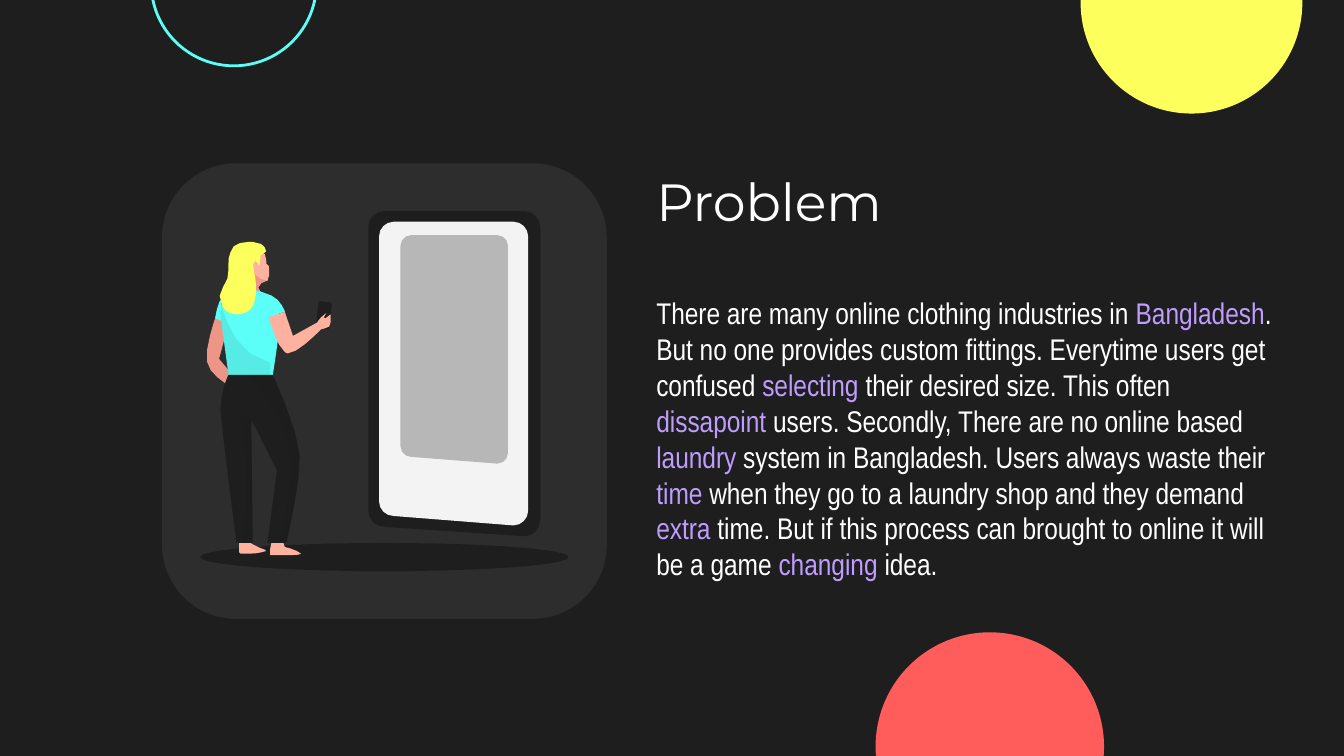
from math import dist
from typing import NamedTuple

from lxml import etree
from pptx import Presentation
from pptx import util as u
from pptx.dml.color import RGBColor
from pptx.enum import shapes, text
from pptx.oxml.ns import qn

# The slide is a grid of square cells, 1000 columns by 562.5 rows.
SLIDE_WIDTH = u.Inches(10)
CELL = SLIDE_WIDTH / 1000
ROWS = 562.5
MOST_CURVE_STEPS, CELLS_PER_STEP = 4, 5

INK, CARD, WHITE = "1E1E1E", "2D2D2D", "FFFFFF"
YELLOW, CYAN, RED, PURPLE = "FDFF5C", "5CFFF8", "FF5C5C", "BF9DFF"
SKIN, SKIN_SHADE, SHADE = "FFB19F", "ED9688", "121212"


class Preset(NamedTuple):
    kind: shapes.MSO_SHAPE
    left: float
    top: float
    width: float
    height: float
    fill: str = ""
    line: str = ""


class Outline(NamedTuple):
    """Points split by spaces: x,y is a straight side, six numbers a Bezier curve."""
    fill: str
    route: str
    opacity: int = 100


class Panel(NamedTuple):
    """A rounded panel whose bottom edge falls by `slant` towards the right."""
    fill: str
    left: int
    top: int
    right: int
    bottom: int
    radius: int
    slant: int


class Words(NamedTuple):
    left: float
    top: float
    width: float
    height: float
    font: str
    size: int
    content: str  # accented words stand between asterisks


OVAL, ROUNDED = shapes.MSO_SHAPE.OVAL, shapes.MSO_SHAPE.ROUNDED_RECTANGLE
BACKDROP = [
    Preset(OVAL, 804, -80.5, 165, 165, fill=YELLOW),
    Preset(OVAL, 112.5, -74, 123, 123, line=CYAN),
    Preset(OVAL, 651.5, 470.5, 170, 170, fill=RED),
    Preset(ROUNDED, 120.5, 121.5, 331, 339, fill=CARD),
]

FLOOR_SHADOW = Preset(OVAL, 149, 404, 274, 21, fill=INK)

RIGHT_FOOT = Outline(SKIN, "202,404 202,404,200,412,201,413 204,413 213,413 "
                     "219,413,223,413,224,412 226,411,223,411,221,410 "
                     "218,409,214,407,212,407 210,406,211,404,211,404")
LEFT_FOOT = Outline(SKIN, "178,403 178,411 178,412,179,412,183,412 185,412 "
                    "191,412,195,411,198,410 200,410,198,409,197,409 "
                    "195,408,191,407,188,405 186,404,185,403,185,403")
PHONE = Outline(INK, "238,224 237,224,237,225,237,225 235,243 235,243,235,244,236,244 "
                "244,245 244,245,245,244,245,244 247,226 247,226,246,225,246,225")
BACK_ARM = Outline(SKIN_SHADE, "161,237 160,237 160,237,152,260,154,269 "
                   "155,278,169,286,169,286 173,279 163,267 170,241 170,241,165,237,161,237")
BACK_SLEEVE = Outline(CYAN, "164,223 164,223,161,229,160,237 168,240")
SHIRT_SIDE = Outline(CYAN, "206,232 199,234 201,279 203,279 "
                     "203,279,208,247,208,241 208,236,206,232,206,232")
FACE = Outline(SKIN, "195,188 192,188,189,190,187,195 187,196,187,197,186,199 "
               "185,204,186,212,186,216 186,218 191,219 196,219 195,218,192,216,192,214 "
               "193,211,195,210,198,209 199,209 201,207,200,198,200,198 "
               "198,198,198,195,198,193 197,190,197,189,197,189 196,188,196,188,195,188")
NECK_SHADE = Outline(SKIN_SHADE, "186,199 185,204,186,212,186,216 191,219 194,220 196,219 "
                     "195,218,192,216,192,214 193,211,195,210,198,209 199,209 "
                     "191,208,188,202,186,199")
SHIRT = Outline(CYAN, "190,216 166,223 166,223,165,224,165,228 164,229,164,232,164,234 "
                "165,242,170,279,170,279 201,279 201,270 200,236 212,232 "
                "212,232,209,223,202,220 195,217,190,216,190,216")
HAIR = Outline(YELLOW, "185,180 178,180,172,183,172,187 172,187,169,191,170,201 "
               "172,210,159,217,165,227 167,232,172,234,176,234 182,234,187,231,189,226 "
               "192,218,190,205,189,202 188,198,188,195,190,194 192,194,192,198,193,198 "
               "194,197,193,192,194,190 195,188,198,189,198,187 197,184,197,181,188,180")
TROUSERS = Outline(INK, "170,279 170,279,164,290,164,305 165,320,176,404,176,404 188,404 "
                   "187,312 206,350 199,404 213,404 213,404,224,358,223,339 "
                   "222,320,203,279,203,279")
FRONT_ARM = Outline(SKIN, "212,232 200,236 200,236,206,258,212,262 213,262,214,263,214,263 "
                    "221,263,234,250,239,245 239,245,244,244,245,243 "
                    "246,242,245,241,246,240 246,238 247,237,246,237,246,237 "
                    "247,235,247,234,246,234 242,237 241,236 242,235,244,233,243,233 "
                    "243,233,240,235,239,236 238,237,236,240,236,240 218,250")
TROUSER_SHADE = Outline(SHADE, "183,279 195,289,208,308,215,328 222,352,208,404,208,404 "
                        "213,404 213,404,224,358,223,339 222,320,203,279,203,279", 8)
LEG_SHADE = Outline(SHADE, "180,311 180,311,189,370,180,404 188,404 187,312", 8)
SHIRT_SHADE = Outline(SHADE, "165,228 164,229,164,232,164,234 165,242,170,279,170,279 "
                      "201,279 201,270 178,264,169,243,165,228", 8)
WOMAN = [RIGHT_FOOT, LEFT_FOOT, PHONE, BACK_ARM, BACK_SLEEVE, SHIRT_SIDE, FACE, NECK_SHADE,
         SHIRT, HAIR, TROUSERS, FRONT_ARM, TROUSER_SHADE, LEG_SHADE, SHIRT_SHADE]

MIRROR = [
    Panel(INK, 274, 157, 402, 399, radius=12, slant=7),
    Panel("F3F3F3", 282, 165, 393, 391, radius=11, slant=7),
    Panel("B7B7B7", 298, 175, 378, 345, radius=8, slant=5),
]

TITLE = Words(478.5, 124, 333, 51, "Montserrat", 28, "Problem")
STORY = Words(
    478.5, 191.25, 489, 270, "Arial Narrow", 16,
    "There are many online clothing industries in *Bangladesh*. But no one provides custom "
    "fittings. Everytime users get confused *selecting* their desired size. This often "
    "*dissapoint* users. Secondly, There are no online based *laundry* system in Bangladesh. "
    "Users always waste their *time* when they go to a laundry shop and they demand *extra* "
    "time. But if this process can brought to online it will be a game *changing* idea.")


def cells(count: float) -> u.Emu:
    return u.Emu(round(count * CELL))


def paint(fill, colour: str) -> None:
    fill.solid()
    fill.fore_color.rgb = RGBColor.from_string(colour)


def draw_preset(slide, item: Preset) -> None:
    shape = slide.shapes.add_shape(item.kind, *map(cells, item[1:5]))
    shape.shadow.inherit = False
    if item.fill:
        paint(shape.fill, item.fill)
    else:
        shape.fill.background()
    if item.line:
        paint(shape.line.fill, item.line)
        shape.line.width = u.Pt(1.5)
    else:
        shape.line.fill.background()


def trace(route: str) -> list[tuple[float, float]]:
    """Turn a route into corner points, with more of them on longer curves."""
    points = []
    for leg in route.split():
        numbers = [float(n) for n in leg.split(",")]
        if len(numbers) == 2:
            points.append(tuple(numbers))
            continue
        controls = [points[-1], *zip(numbers[::2], numbers[1::2])]
        length = dist(controls[0], controls[-1])
        steps = min(MOST_CURVE_STEPS, 1 + int(length / CELLS_PER_STEP))
        for i in range(1, steps + 1):
            t = i / steps
            weights = ((1 - t) ** 3, 3 * t * (1 - t) ** 2, 3 * t * t * (1 - t), t ** 3)
            points.append(tuple(sum(w * c[axis] for w, c in zip(weights, controls))
                                for axis in (0, 1)))
    return points


def draw_outline(slide, item: Outline) -> None:
    start, *rest = [(cells(x), cells(y)) for x, y in trace(item.route)]
    builder = slide.shapes.build_freeform(*start)
    builder.add_line_segments(rest, close=True)
    shape = builder.convert_to_shape()
    shape.shadow.inherit = False
    paint(shape.fill, item.fill)
    shape.line.fill.background()
    if item.opacity < 100:
        colour = shape.fill._xPr.find(qn("a:solidFill"))[0]
        etree.SubElement(colour, qn("a:alpha"), val=str(item.opacity * 1000))


def panel_outline(panel: Panel) -> Outline:
    fill, left, top, right, bottom, r, slant = panel
    low, k = bottom - slant, r * 0.45  # k: distance from corner to curve handle
    return Outline(fill, (
        f"{right - r},{top} {right - k},{top},{right},{top + k},{right},{top + r} "
        f"{right},{bottom - r} {right},{bottom - k},{right - k},{bottom},{right - r},{bottom} "
        f"{left + r},{low} {left + k},{low},{left},{low - k},{left},{low - r} "
        f"{left},{top + r} {left},{top + k},{left + k},{top},{left + r},{top}"))


def write(slide, words: Words) -> None:
    frame = slide.shapes.add_textbox(*map(cells, words[:4])).text_frame
    frame.word_wrap = True
    frame.vertical_anchor = text.MSO_ANCHOR.MIDDLE
    frame.margin_left = frame.margin_right = cells(10)
    frame.margin_top = frame.margin_bottom = cells(10)
    paragraph = frame.paragraphs[0]
    paragraph.font.name = words.font
    paragraph.font.size = u.Pt(words.size)
    for i, part in enumerate(words.content.split("*")):
        run = paragraph.add_run()
        run.text = part
        paint(run.font.fill, PURPLE if i % 2 else WHITE)


def main() -> None:
    deck = Presentation()
    deck.slide_width, deck.slide_height = SLIDE_WIDTH, cells(ROWS)
    slide = deck.slides.add_slide(deck.slide_layouts[6])
    paint(slide.background.fill, INK)
    for item in [*BACKDROP, FLOOR_SHADOW]:
        draw_preset(slide, item)
    for outline in [*WOMAN, *map(panel_outline, MIRROR)]:
        draw_outline(slide, outline)
    for words in (TITLE, STORY):
        write(slide, words)
    deck.save("out.pptx")


if __name__ == "__main__":
    main()
